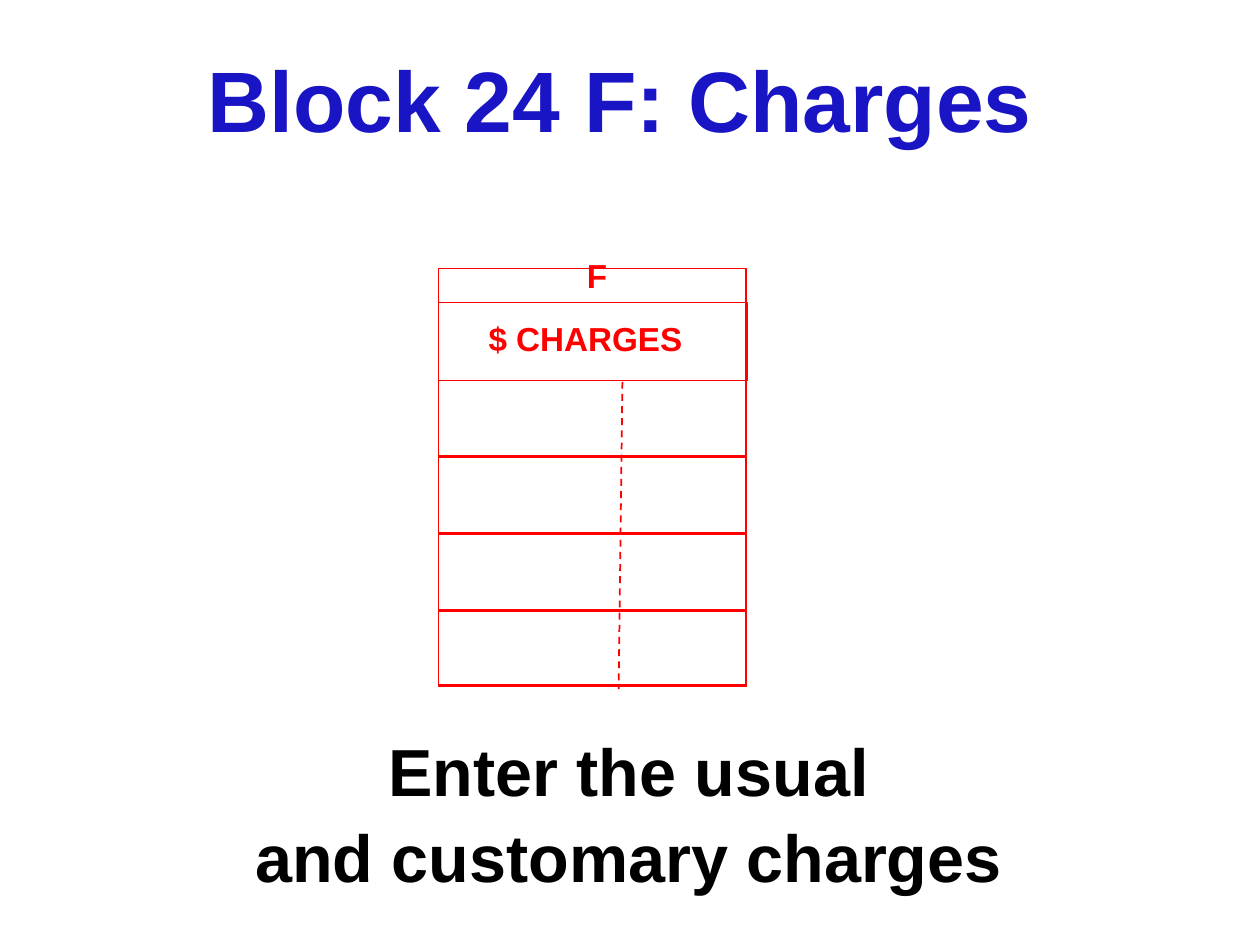
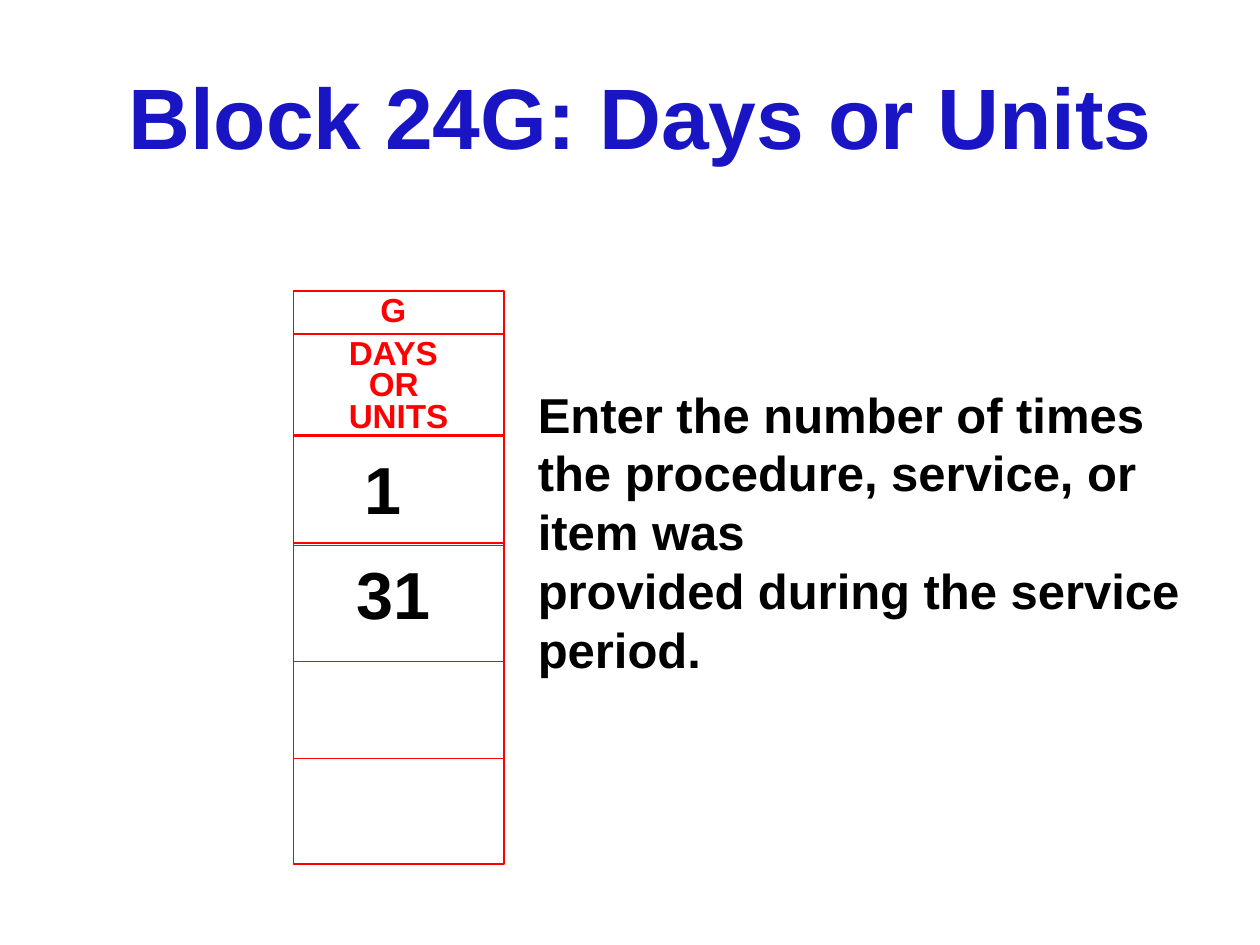
import pptx
import pptx.util
import pptx.dml.color
import pptx.enum.dml
import pptx.enum.shapes
import pptx.enum.text
import lxml.etree

Inches = pptx.util.Inches
Pt = pptx.util.Pt
Align = pptx.enum.text.PP_ALIGN
Anchor = pptx.enum.text.MSO_ANCHOR

COLORS = {"title": "1A15C4", "form": "FF0000", "body": "000000"}
SIZES = {"title": 49, "form": 19, "entry": 38, "note": 28}


def add_text(page, place, lines, size, color, align, wrap=False, anchor=Anchor.BOTTOM):
    box = page.shapes.add_textbox(*[Inches(value) for value in place])
    frame = box.text_frame
    frame.word_wrap = wrap
    frame.auto_size = pptx.enum.text.MSO_AUTO_SIZE.SHAPE_TO_FIT_TEXT
    frame.vertical_anchor = anchor
    for index, line in enumerate(lines):
        para = frame.add_paragraph() if index else frame.paragraphs[0]
        para.alignment = align
        span = para.add_run()
        span.text = line
        span.font.name = "Arial"
        span.font.size = Pt(SIZES[size])
        span.font.bold = True
        span.font.color.rgb = pptx.dml.color.RGBColor.from_string(COLORS[color])


def add_cell(page, left, top, width, height):
    cell = page.shapes.add_shape(
        pptx.enum.shapes.MSO_SHAPE.RECTANGLE,
        Inches(left), Inches(top), Inches(width), Inches(height))
    cell.shadow.inherit = False
    cell.fill.background()
    cell.line.color.rgb = pptx.dml.color.RGBColor.from_string(COLORS["form"])
    cell.line.width = Pt(1)


deck = pptx.Presentation()
deck.slide_width = Inches(10)
deck.slide_height = Inches(7.5)
blank = deck.slide_layouts[6]

charges = deck.slides.add_slide(blank)
add_cell(charges, 3.48, 2.13, 2.44, 3.31)
add_cell(charges, 3.48, 2.4, 2.45, 0.62)
for row in range(4):
    add_cell(charges, 3.48, 3.02 + row * 0.61, 2.44, 0.6)

cents_line = charges.shapes.add_connector(
    pptx.enum.shapes.MSO_CONNECTOR.STRAIGHT,
    Inches(4.94), Inches(3.03), Inches(4.91), Inches(5.47))
cents_line.line.color.rgb = pptx.dml.color.RGBColor.from_string(COLORS["form"])
cents_line.line.width = Pt(1)
cents_line.line.dash_style = pptx.enum.dml.MSO_LINE.DASH
lxml.etree.SubElement(
    cents_line._element.spPr, pptx.oxml.ns.qn("a:effectLst"))

for place, label in [((4.56, 1.98, 0.42, 0.41), "F"),
                     ((3.78, 2.48, 1.8, 0.41), "$ CHARGES")]:
    add_text(charges, place, [label], "form", "form", Align.JUSTIFY)
add_text(charges, (1.52, 0.33, 6.8, 0.91), ["Block 24 F: Charges"],
         "title", "title", Align.CENTER)
for place, line in [((2.94, 5.75, 4.1, 0.73), "Enter the usual"),
                    ((1.89, 6.43, 6.2, 0.73), "and customary charges")]:
    add_text(charges, place, [line], "entry", "body", Align.CENTER)

units = deck.slides.add_slide(blank)
for top, height in [(2.31, 4.55), (2.65, 0.8), (3.46, 0.85), (4.33, 0.92), (5.25, 0.77)]:
    add_cell(units, 2.33, top, 1.67, height)

add_text(units, (2.92, 2.25, 0.46, 0.41), ["G"], "form", "form", Align.JUSTIFY)
for row, (left, width, word) in enumerate(
        [(2.67, 1, "DAYS"), (2.83, 0.66, "OR"), (2.67, 1.06, "UNITS")]):
    add_text(units, (left, 2.59 + row * 0.25, width, 0.41), [word],
             "form", "form", Align.JUSTIFY)
add_text(units, (0.88, 0.46, 8.4, 0.91), ["Block 24G: Days or Units"],
         "title", "title", Align.CENTER)
for left, top, count in [(2.5, 3.51, "1"), (2.58, 4.34, "31")]:
    add_text(units, (left, top, 1.08, 0.73), [count], "entry", "body", Align.CENTER, True)
add_text(units, (4.17, 3, 5.58, 2.44),
         ["Enter the number of times the procedure, service, or item was",
          "provided during the service period."],
         "note", "body", Align.LEFT, True, Anchor.TOP)

deck.save("out.pptx")
